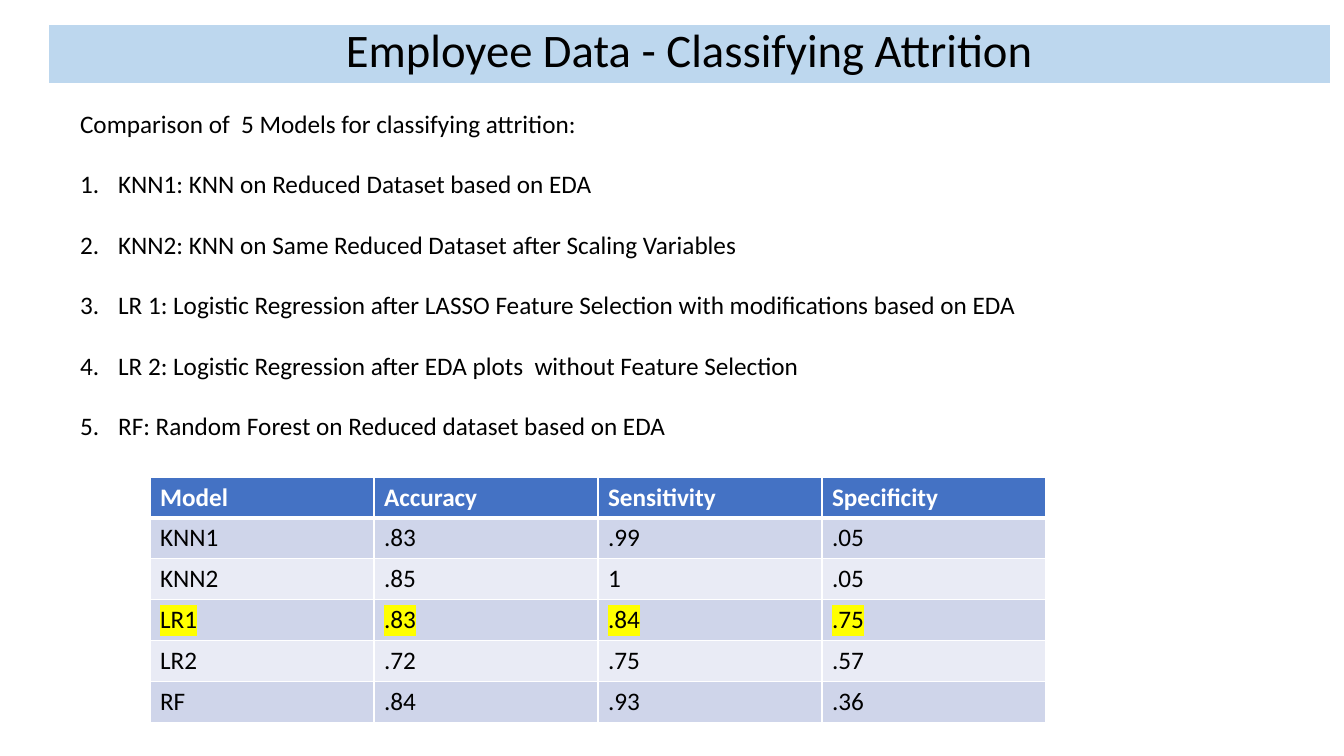
from pptx import Presentation
from pptx.dml.color import RGBColor
from pptx.enum.text import MSO_ANCHOR as Anchor, MSO_AUTO_SIZE as Fit, PP_ALIGN as Align
from pptx.oxml.ns import qn
from pptx.util import Pt
from lxml.etree import SubElement as Sub

SCALE = 914400 / 100.8
BLACK = RGBColor(0, 0, 0)
WHITE = RGBColor(255, 255, 255)
SKY = RGBColor(0xBD, 0xD7, 0xEE)
BLUE = RGBColor(0x44, 0x72, 0xC4)
BANDS = RGBColor(0xCF, 0xD5, 0xEA), RGBColor(0xE9, 0xEB, 0xF5)
YELLOW = RGBColor(255, 255, 0)

INTRO = "Comparison of  5 Models for classifying attrition:"
MODELS = [
    "KNN1: KNN on Reduced Dataset based on EDA",
    "KNN2: KNN on Same Reduced Dataset after Scaling Variables",
    "LR 1: Logistic Regression after LASSO Feature Selection with modifications based on EDA",
    "LR 2: Logistic Regression after EDA plots  without Feature Selection",
    "RF: Random Forest on Reduced dataset based on EDA",
]
SCORES = [
    ["Model", "Accuracy", "Sensitivity", "Specificity"],
    ["KNN1", ".83", ".99", ".05"],
    ["KNN2", ".85", "1", ".05"],
    ["LR1", ".83", ".84", ".75"],
    ["LR2", ".72", ".75", ".57"],
    ["RF", ".84", ".93", ".36"],
]
BEST = 3


def px(num):
    return round(num * SCALE)


def apply(item, **values):
    for name, value in values.items():
        setattr(item, name, value)


def paint(item, color):
    item.fill.solid()
    item.fill.fore_color.rgb = color


class Deck:
    def __init__(self, font="Calibri", size=18):
        self.font, self.size = font, size
        self.file = Presentation()
        apply(self.file, slide_width=px(1344), slide_height=px(756))
        self.slide = self.file.slides.add_slide(self.file.slide_layouts[1])

    def label(self, para, text, size=None, color=BLACK, bold=False, mark=None):
        run = para.add_run()
        run.text = text
        run.font.color.rgb = color
        if mark:
            light = Sub(run.font._element, qn("a:highlight"))
            Sub(light, qn("a:srgbClr"), val=str(mark))
        apply(run.font, size=Pt(size or self.size), bold=bold, name=self.font)

    def place(self, shape, box, anchor):
        """Move a placeholder and return its text frame."""
        apply(shape, **dict(zip(("left", "top", "width", "height"), map(px, box))))
        apply(shape.text_frame, word_wrap=True, auto_size=Fit.NONE, vertical_anchor=anchor)
        return shape.text_frame

    def title(self, text, box):
        shape = self.slide.shapes.title
        paint(shape, SKY)
        para = self.place(shape, box, Anchor.MIDDLE).paragraphs[0]
        apply(para, alignment=Align.CENTER, line_spacing=0.8)
        self.label(para, text, size=33.3)

    def body(self, intro, items, box, indent=38, gap=21.6):
        frame = self.place(self.slide.placeholders[1], box, Anchor.TOP)
        for row, text in enumerate([intro, *items]):
            para = frame.add_paragraph() if row else frame.paragraphs[0]
            apply(para, space_before=Pt(0), space_after=Pt(gap))
            props = para._p.get_or_add_pPr()
            left = px(indent) if row else 0
            props.set("marL", str(left))
            props.set("indent", str(-left))
            if row:
                Sub(props, qn("a:buFont"), typeface="+mj-lt")
                Sub(props, qn("a:buAutoNum"), type="arabicPeriod")
            else:
                Sub(props, qn("a:buNone"))
            self.label(para, text)

    def edge(self, cell, head):
        """Draw white cell borders, with a thick line under the header."""
        props = cell._tc.get_or_add_tcPr()
        for side in "LRTB":
            wide = 3 if head and side == "B" else 1
            line = Sub(props, qn(f"a:ln{side}"), w=str(Pt(wide)))
            Sub(Sub(line, qn("a:solidFill")), qn("a:srgbClr"), val=str(WHITE))

    def table(self, rows, best, left, top, wide, first, high):
        count = len(rows[0])
        total = first + high * (len(rows) - 1)
        grid = self.slide.shapes.add_table(
            len(rows), count, px(left), px(top), px(wide * count), px(total)).table
        for col in grid.columns:
            col.width = px(wide)
        for r, texts in enumerate(rows):
            head = r == 0
            grid.rows[r].height = px(first if head else high)
            for c, text in enumerate(texts):
                cell = grid.cell(r, c)
                self.edge(cell, head)
                paint(cell, BLUE if head else BANDS[(r - 1) % 2])
                self.label(cell.text_frame.paragraphs[0], text, bold=head,
                           color=WHITE if head else BLACK,
                           mark=YELLOW if r == best else None)


def main():
    deck = Deck()
    deck.title("Employee Data - Classifying Attrition", (49, 25, 1281, 58))
    deck.body(INTRO, MODELS, (70, 103, 1175, 468))
    deck.table(SCORES, BEST, left=150, top=477, wide=224, first=40, high=41)
    deck.file.save("out.pptx")


if __name__ == "__main__":
    main()
